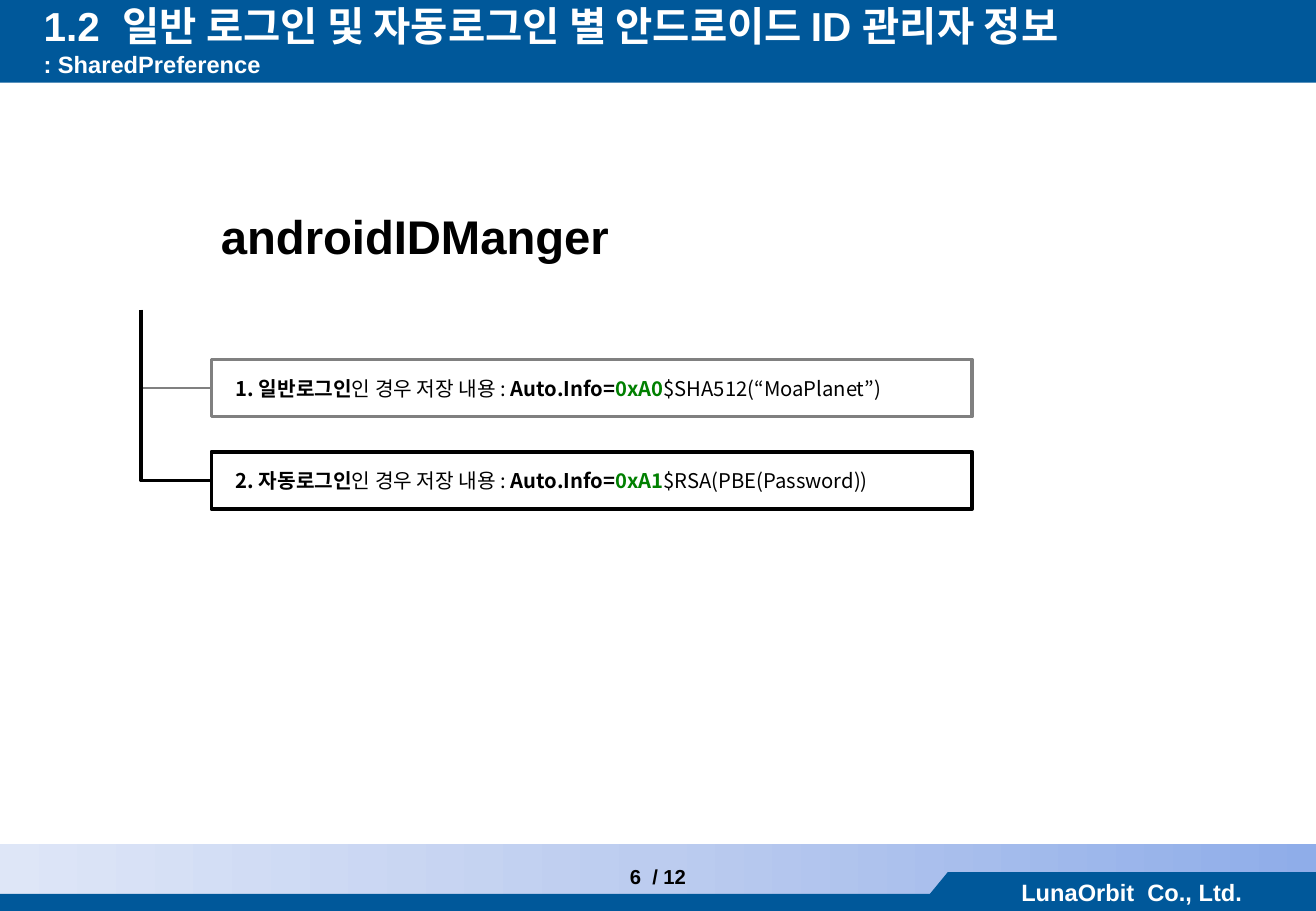
from copy import deepcopy

from lxml.etree import SubElement
from pptx import Presentation
from pptx.dml.color import RGBColor
from pptx.enum.shapes import MSO_CONNECTOR as Link, MSO_SHAPE as Shape
from pptx.enum.text import MSO_ANCHOR as Anchor, PP_ALIGN as Align
from pptx.oxml.ns import qn
from pptx.util import Inches, Pt

WHITE = RGBColor(0xFF, 0xFF, 0xFF)
BLACK = RGBColor(0x00, 0x00, 0x00)
GRAY = RGBColor(0x80, 0x80, 0x80)
GREEN = RGBColor(0x00, 0x80, 0x00)
NAVY = RGBColor(0x00, 0x58, 0x9A)
FADE = [RGBColor(0xDE, 0xE6, 0xF7), RGBColor(0xBC, 0xCC, 0xEF), RGBColor(0x8F, 0xAD, 0xE9)]
LATIN, HANGUL = "Arial", "Noto Sans CJK KR"
PAGE_WIDTH = 10.83
TRUNK_LEFT, TRUNK_TOP = 1.16, 2.55
BOX_LEFT, BOX_WIDTH, BOX_HEIGHT = 1.74, 6.26, 0.47


def style(para, size, color, name=LATIN, bold=None):
    """Set the font that the runs of a paragraph share."""
    font = para.font
    font.name, font.size, font.bold = name, Pt(size), bold
    font.color.rgb = color
    SubElement(font._element, qn("a:ea"), typeface=HANGUL)


def add_block(page, left, top, width, height, fill=None):
    """Add a rectangle without outline, filled when a colour is given."""
    block = page.shapes.add_shape(
        Shape.RECTANGLE, Inches(left), Inches(top), Inches(width), Inches(height))
    block.shadow.inherit = False
    block.line.fill.background()
    if fill is None:
        block.fill.background()
    else:
        block.fill.solid()
        block.fill.fore_color.rgb = fill
    return block


def add_fade(page, left, top, width, height):
    """Add the footer band with its three-stop gradient."""
    band = add_block(page, left, top, width, height)
    band.fill.gradient()
    band.fill.gradient_angle = 0
    stops = band._element.spPr.find(qn("a:gradFill")).find(qn("a:gsLst"))
    stops.insert(1, deepcopy(stops[0]))
    for stop, position, color in zip(band.fill.gradient_stops, (0, 0.5, 1), FADE):
        stop.position = position
        stop.color.rgb = color


def add_wedge(page):
    """Add the slanted edge of the company plate."""
    builder = page.shapes.build_freeform(Inches(7.57), Inches(7.46))
    builder.add_line_segments([(Inches(7.8), Inches(7.46)), (Inches(7.8), Inches(7.18))])
    wedge = builder.convert_to_shape()
    wedge.shadow.inherit = False
    wedge.fill.solid()
    wedge.fill.fore_color.rgb = NAVY
    wedge.line.fill.background()


def add_label(page, left, top, width, height, text, size, color, align=Align.LEFT, wrap=True):
    """Add a one-line bold text box and return it."""
    box = page.shapes.add_textbox(Inches(left), Inches(top), Inches(width), Inches(height))
    box.text_frame.word_wrap = wrap
    para = box.text_frame.paragraphs[0]
    para.text, para.alignment = text, align
    style(para, size, color, bold=True)
    return box


def add_title(page):
    """Add the heading with its smaller second line."""
    box = add_label(page, 0.26, 0.05, 10.55, 0.55,
                    "1.2  일반 로그인 및 자동로그인 별 안드로이드 ID 관리자 정보", 24, WHITE)
    box.text_frame.vertical_anchor = Anchor.MIDDLE
    para = box.text_frame.paragraphs[0]
    para.add_line_break()
    span = para.add_run()
    span.text = ": SharedPreference"
    span.font.size = Pt(14)


def add_branch(page, middle, color, weight):
    """Add an elbow that drops from the trunk top and turns right to a box."""
    reach, drop = BOX_LEFT - TRUNK_LEFT, middle - TRUNK_TOP
    left = TRUNK_LEFT + (reach - drop) / 2
    top = TRUNK_TOP + (drop - reach) / 2
    branch = page.shapes.add_connector(
        Link.ELBOW, Inches(left), Inches(top), Inches(left + drop), Inches(top + reach))
    branch.line.color.rgb = color
    branch.line.width = Pt(weight)
    properties = branch._element.spPr
    properties.find(qn("a:prstGeom")).set("prst", "bentConnector2")
    frame = properties.find(qn("a:xfrm"))
    frame.set("rot", "16200000")
    frame.set("flipH", "1")
    SubElement(properties, qn("a:effectLst"))


def add_case(page, top, color, weight, heading, code, value):
    """Add an outlined login case and its branch."""
    box = add_block(page, BOX_LEFT, top, BOX_WIDTH, BOX_HEIGHT)
    box.line.color.rgb = color
    box.line.width = Pt(2.25)
    frame = box.text_frame
    frame.word_wrap = False
    frame.vertical_anchor = Anchor.MIDDLE
    frame.margin_left = Inches(0.2)
    para = frame.paragraphs[0]
    para.alignment = Align.LEFT
    style(para, 12, BLACK, HANGUL)
    for text, bold, ink in ((heading, True, BLACK), ("인 경우 저장 내용 : ", False, BLACK),
                            ("Auto.Info=", True, BLACK), (code, True, GREEN),
                            (value, False, BLACK)):
        span = para.add_run()
        span.text = text
        span.font.bold = bold
        span.font.color.rgb = ink
    add_branch(page, top + BOX_HEIGHT / 2, color, weight)


def main():
    """Build the slide and save it."""
    deck = Presentation()
    deck.slide_width, deck.slide_height = Inches(PAGE_WIDTH), Inches(7.5)
    page = deck.slides.add_slide(deck.slide_layouts[6])
    add_fade(page, 0, 6.95, PAGE_WIDTH, 0.55)
    add_block(page, 0, 0, PAGE_WIDTH, 0.68, NAVY)
    add_block(page, 0, 7.36, PAGE_WIDTH, 0.14, NAVY)
    add_wedge(page)
    plate = add_block(page, 7.8, 7.18, PAGE_WIDTH - 7.8, 0.32, NAVY)
    plate.text_frame.vertical_anchor = Anchor.MIDDLE
    para = plate.text_frame.paragraphs[0]
    para.text, para.alignment = "LunaOrbit  Co., Ltd.", Align.CENTER
    style(para, 14, WHITE, bold=True)
    add_title(page)
    add_label(page, 1.72, 1.66, 3.43, 0.57, "androidIDManger", 28, BLACK, wrap=False)
    add_case(page, 2.96, GRAY, 1.5, "1. 일반로그인", "0xA0", "$SHA512(“MoaPlanet”)")
    add_case(page, 3.72, BLACK, 2.25, "2. 자동로그인", "0xA1", "$RSA(PBE(Password))")
    add_label(page, 0, 7.07, PAGE_WIDTH, 0.33, "6  / 12", 12, BLACK, Align.CENTER)
    deck.save("out.pptx")


if __name__ == "__main__":
    main()
